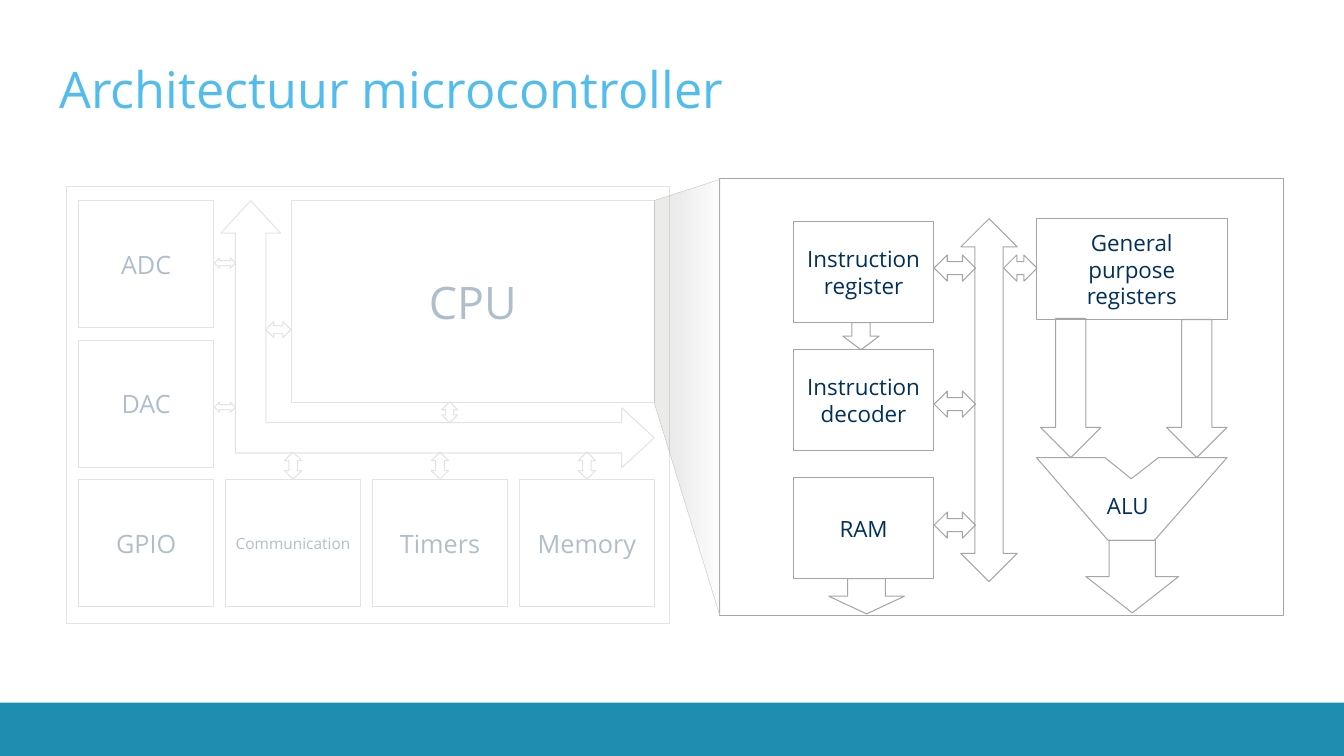
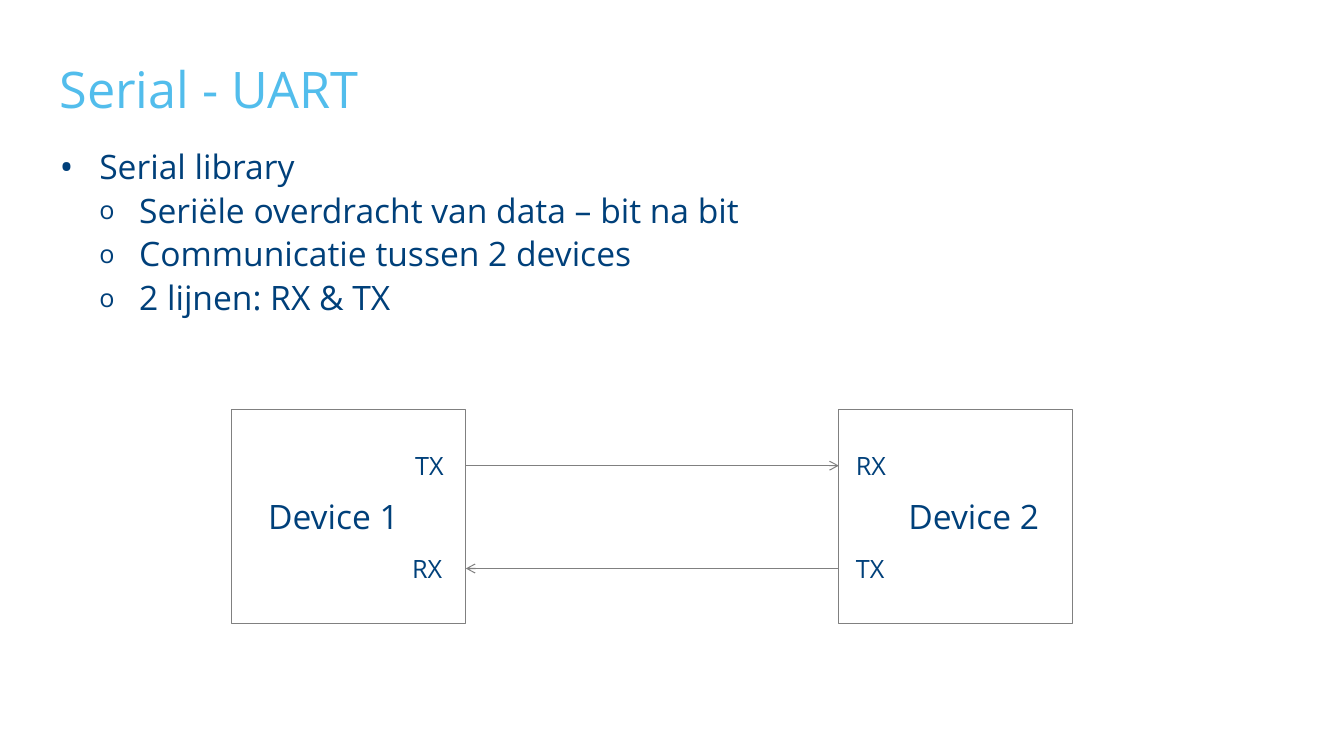
from lxml import etree
from pptx import Presentation
from pptx import util as u
from pptx.dml.color import RGBColor
from pptx.enum import shapes, text
from pptx.oxml import ns

# Shared style
FONT = "Open Sans"
SKY, BAND, NAVY, BLUE = "52BDEC", "1D8DB0", "00305C", "00407A"
GREY, MID_GREY, PALE_GREY, SHADE = "A6A6A6", "808080", "BFBFBF", "272822"
WIDTH, HEIGHT = 13.33, 7.5
MARGIN, TEXT_W = 0.59, 12.45
KIND = shapes.MSO_SHAPE

# Slide 1: microcontroller block, a grid of peripherals around the CPU
GRID_X, GRID_Y, COL_STEP, ROW_STEP = 0.78, 1.99, 1.457, 1.385
CELL_W, CELL_H = 1.34, 1.26
PERIPHERALS = [  # label, column, row, size
    ("ADC", 0, 0, 18), ("DAC", 0, 1, 18), ("GPIO", 0, 2, 18),
    ("Communication", 1, 2, 11), ("Timers", 2, 2, 18), ("Memory", 3, 2, 18),
]
BUS_LINKS = [  # kind, centre x, centre y, width, height
    (KIND.LEFT_RIGHT_ARROW, 2.23, 2.61, 0.21, 0.1),
    (KIND.LEFT_RIGHT_ARROW, 2.23, 4.04, 0.21, 0.1),
    (KIND.LEFT_RIGHT_ARROW, 2.76, 3.27, 0.25, 0.16),
    (KIND.UP_DOWN_ARROW, 4.46, 4.09, 0.16, 0.21),
] + [(KIND.UP_DOWN_ARROW, GRID_X + col * COL_STEP + CELL_W / 2, 4.62, 0.17, 0.27)
     for col in (1, 2, 3)]

# Slide 1: inside of the CPU
CPU_STAGES = ["Instruction register", "Instruction decoder", "RAM"]
STAGE_X, STAGE_Y, STAGE_STEP = 7.87, 2.2, 1.27
CPU_LINKS = [  # centre x, centre y, width
    (9.47, 2.66, 0.41), (9.47, 4.01, 0.41), (9.47, 5.21, 0.41), (10.12, 2.66, 0.33),
]
DOWN_ARROWS = [  # left, top, width, height
    (8.36, 3.2, 0.36, 0.27), (11.57, 3.17, 0.6, 1.37), (10.32, 3.16, 0.6, 1.38),
    (10.77, 5.36, 0.92, 0.72), (8.22, 5.74, 0.75, 0.35),
]
ALU = [(10.28, 4.54), (10.96, 4.54), (11.22, 4.75), (11.49, 4.54),
       (12.17, 4.54), (11.45, 5.36), (10.99, 5.36)]
ZOOM = [(6.49, 1.99), (6.49, 4), (7.14, 6.11), (7.14, 1.78)]

# Slide 2
BULLETS = [  # level, text
    (0, "Serial library"),
    (1, "Seriële overdracht van data – bit na bit"),
    (1, "Communicatie tussen 2 devices"),
    (1, "2 lijnen: RX & TX"),
]
BULLET_MARKS = [("•", 110), ("o", 75)]  # mark and size in percent, by level
BULLET_INDENT = 0.395
DEVICE_Y, DEVICE_W, DEVICE_H = 4.06, 2.32, 2.13
DEVICES = [("Device 1", 2.3, 0.26), ("Device 2", 8.32, 0.59)]  # label, left, indent
PORTS = [("TX", 4.02, 4.42), ("RX", 8.39, 4.42), ("RX", 3.99, 5.44), ("TX", 8.39, 5.44)]
WIRES = [(4.62, 8.32, 4.62), (8.32, 4.62, 5.64)]  # from x, to x, y


def rgb(value):
    return RGBColor.from_string(value)


def inches(*values):
    return [u.Inches(v) for v in values]


def add_xml(parent, tag, **attributes):
    return etree.SubElement(parent, ns.qn(tag), attributes)


def set_alpha(colour, percent):
    add_xml(colour, "a:alpha", val=str(percent * 1000))


def style_text(p, size, colour):
    for r in p.runs:
        r.font.name, r.font.size = FONT, u.Pt(size)
        r.font.color.rgb = rgb(colour)


def outline(sp, colour=GREY, fill=None, width=0.75):
    sp.shadow.inherit = False
    if fill:
        sp.fill.solid()
        sp.fill.fore_color.rgb = rgb(fill)
    else:
        sp.fill.background()
    if colour:
        sp.line.color.rgb, sp.line.width = rgb(colour), u.Pt(width)
    else:
        sp.line.fill.background()


def add_block(s, box, kind=KIND.RECTANGLE, label="", size=16, text_colour=NAVY, **look):
    sp = s.shapes.add_shape(kind, *inches(*box))
    outline(sp, **look)
    if label:
        tf = sp.text_frame
        tf.text, tf.vertical_anchor = label, text.MSO_ANCHOR.MIDDLE
        tf.paragraphs[0].alignment = text.PP_ALIGN.CENTER
        style_text(tf.paragraphs[0], size, text_colour)
    return sp


def add_centred(s, kind, x, y, w, h):
    return add_block(s, (x - w / 2, y - h / 2, w, h), kind)


def add_label(s, label, x, y, w, h, size, colour):
    tf = s.shapes.add_textbox(*inches(x, y, w, h)).text_frame
    tf.text, tf.word_wrap = label, False
    tf.auto_size = text.MSO_AUTO_SIZE.SHAPE_TO_FIT_TEXT
    style_text(tf.paragraphs[0], size, colour)


def add_outline(s, points):
    scaled = [tuple(inches(*point)) for point in points]
    builder = s.shapes.build_freeform(*scaled[0])
    builder.add_line_segments(scaled[1:], close=True)
    return builder.convert_to_shape()


def place(sp, x, y, w, h):
    sp.left, sp.top, sp.width, sp.height = inches(x, y, w, h)
    tf = sp.text_frame
    tf.margin_left = tf.margin_top = tf.margin_right = tf.margin_bottom = 0
    tf.auto_size = text.MSO_AUTO_SIZE.NONE
    return tf


def add_slide(prs, layout, title):
    s = prs.slides.add_slide(prs.slide_layouts.get_by_name(layout))
    tf = place(s.shapes.title, MARGIN, 0.2, TEXT_W, 0.98)
    tf.text, tf.vertical_anchor = title, text.MSO_ANCHOR.BOTTOM
    tf.paragraphs[0].alignment = text.PP_ALIGN.LEFT
    style_text(tf.paragraphs[0], 36, SKY)
    return s


def architecture_slide(prs):
    s = add_slide(prs, "Title Only", "Architectuur microcontroller")
    add_block(s, (0, 6.97, WIDTH, HEIGHT - 6.97), colour=None, fill=BAND)

    # Microcontroller
    add_block(s, (0.66, 1.85, 5.98, 4.34))
    for label, col, row, size in PERIPHERALS:
        box = (GRID_X + col * COL_STEP, GRID_Y + row * ROW_STEP, CELL_W, CELL_H)
        add_block(s, box, label=label, size=size)
    add_block(s, (2.89, GRID_Y, 3.6, 2), label="CPU", size=32)
    bus = add_block(s, (2.19, GRID_Y, 4.3, 2.65), KIND.LEFT_UP_ARROW)
    for i, share in enumerate((0.114, 0.112, 0.122)):
        bus.adjustments[i] = share
    bus.element.spPr.find(ns.qn("a:xfrm")).set("flipH", "1")
    for link in BUS_LINKS:
        add_centred(s, *link)

    # Veil that fades the microcontroller
    veil = add_block(s, (MARGIN, 1.77, 6.31, 4.66), colour=None, fill="FFFFFF")
    set_alpha(veil.element.spPr.find(".//" + ns.qn("a:srgbClr")), 69)

    # Inside of the CPU
    add_block(s, (7.14, 1.77, 5.59, 4.34))
    outline(add_outline(s, ALU))
    add_label(s, "ALU", 10.88, 4.83, 0.62, 0.37, 16, NAVY)
    add_block(s, (10.28, 2.17, 1.89, 1), label="General purpose registers")
    for i, label in enumerate(CPU_STAGES):
        add_block(s, (STAGE_X, STAGE_Y + i * STAGE_STEP, 1.39, 1), label=label)
    for box in DOWN_ARROWS:
        add_block(s, box, KIND.DOWN_ARROW)
    add_block(s, (9.53, 2.17, 0.56, 3.6), KIND.UP_DOWN_ARROW)
    for x, y, w in CPU_LINKS:
        add_centred(s, KIND.LEFT_RIGHT_ARROW, x, y, w, 0.26)

    # Zoom wedge from the CPU to its inside
    wedge = add_outline(s, ZOOM)
    outline(wedge, PALE_GREY, width=0.25)
    wedge.fill.gradient()
    wedge.fill.gradient_angle = 180
    for stop, position, alpha in zip(wedge.fill.gradient_stops, (0, 0.7), (0, 9)):
        stop.position, stop.color.rgb = position, rgb(SHADE)
    colours = wedge.element.spPr.findall(".//" + ns.qn("a:gs") + "/" + ns.qn("a:srgbClr"))
    for colour, alpha in zip(colours, (0, 9)):
        set_alpha(colour, alpha)


def add_bullets(s):
    tf = place(s.placeholders[1], MARGIN, 1.5, TEXT_W, 4.84)
    tf.text = "\n".join(line for _, line in BULLETS)
    for i, (p, (level, _)) in enumerate(zip(tf.paragraphs, BULLETS)):
        mark, percent = BULLET_MARKS[level]
        p.level = level
        pPr = p._p.get_or_add_pPr()
        pPr.set("marL", str(u.Inches(BULLET_INDENT * (level + 1))))
        pPr.set("indent", str(-u.Inches(BULLET_INDENT)))
        add_xml(pPr, "a:buSzPct", val=str(percent * 1000))
        add_xml(pPr, "a:buFont", typeface=FONT)
        add_xml(pPr, "a:buChar", char=mark)
        p.line_spacing = 0.88
        p.space_before = u.Pt(5.8 if i else 0)
        style_text(p, 24, BLUE)


def serial_slide(prs):
    s = add_slide(prs, "Title and Content", "Serial - UART")
    add_bullets(s)

    # Two devices and their crossed wires
    for label, x, indent in DEVICES:
        sp = add_block(s, (x, DEVICE_Y, DEVICE_W, DEVICE_H), label=label, size=24,
                       text_colour=BLUE, colour=MID_GREY)
        p = sp.text_frame.paragraphs[0]
        p.alignment = text.PP_ALIGN.LEFT
        p._p.get_or_add_pPr().set("marL", str(u.Inches(indent)))
    for start, end, y in WIRES:
        wire = s.shapes.add_connector(shapes.MSO_CONNECTOR.STRAIGHT,
                                      *inches(start, y, end, y))
        wire.line.color.rgb, wire.line.width = rgb(MID_GREY), u.Pt(0.75)
        add_xml(wire.line._get_or_add_ln(), "a:tailEnd", type="arrow")
        add_xml(wire.element.spPr, "a:effectLst")
    for label, x, y in PORTS:
        add_label(s, label, x, y, 0.5, 0.4, 18, BLUE)


def main():
    prs = Presentation()
    prs.slide_width, prs.slide_height = inches(WIDTH, HEIGHT)
    architecture_slide(prs)
    serial_slide(prs)
    prs.save("out.pptx")


if __name__ == "__main__":
    main()
